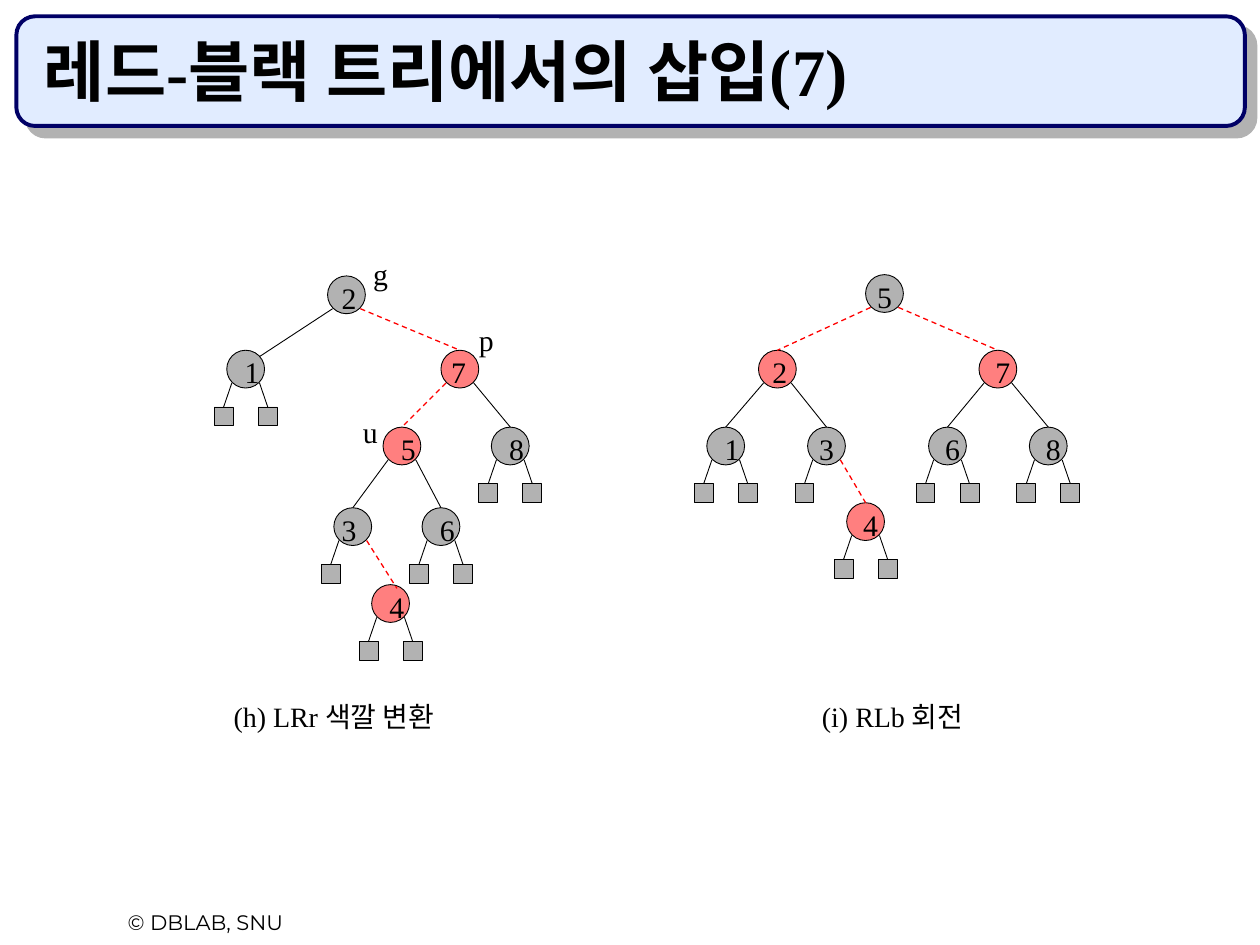
from lxml.etree import SubElement
from pptx import Presentation
from pptx.dml.color import RGBColor
from pptx.enum.dml import MSO_LINE_DASH_STYLE as Dash
from pptx.enum.shapes import MSO_CONNECTOR_TYPE as Connector, MSO_SHAPE as Shape
from pptx.enum.text import MSO_ANCHOR as Anchor, PP_ALIGN as Align
from pptx.oxml.ns import qn
from pptx.util import Inches, Pt

COLORS = {"black": "000000", "gray": "B2B2B2", "red": "FF0000",
          "banner": "E1ECFF", "navy": "000066"}
NODE, LEAF = 0.3, 0.15
LEAF_DROP = 0.45
EXIT = {"left": 0.04, "right": 0.26}       # where an edge leaves a node
LEAF_OFFSET = {"left": -0.1, "right": 0.25}
EXIT_DROP = 0.26

# Node: key, left, top, label offset, color, sides with leaves
# Edge: parent, child, side, color, end point within the child (None: top middle)
TREES = [
    {"nodes": [
        ("2", 2.6, 2.19, 0.11, "gray", ()),
        ("1", 1.8, 2.78, 0.14, "gray", ("left", "right")),
        ("7", 3.5, 2.78, 0.08, "red", ()),
        ("5", 3.04, 3.39, 0.14, "red", ()),
        ("8", 3.9, 3.39, 0.14, "gray", ("left", "right")),
        ("3", 2.65, 4.03, 0.06, "gray", ("left",)),
        ("6", 3.35, 4.03, 0.14, "gray", ("left", "right")),
        ("4", 2.95, 4.64, 0.14, "red", ("left", "right"))],
     "edges": [
        ("2", "1", "left", "black", (0.26, 0.05)),
        ("2", "7", "right", "red", None),
        ("7", "5", "left", "red", None),
        ("7", "8", "right", "black", None),
        ("5", "3", "left", "black", None),
        ("5", "6", "right", "black", None),
        ("3", "4", "right", "red", (0.2, 0.03))]},
    {"nodes": [
        ("5", 6.87, 2.18, 0.09, "gray", ()),
        ("2", 6.02, 2.78, 0.11, "red", ()),
        ("7", 7.77, 2.78, 0.13, "red", ()),
        ("1", 5.61, 3.39, 0.14, "gray", ("left", "right")),
        ("3", 6.41, 3.39, 0.09, "gray", ("left",)),
        ("6", 7.37, 3.39, 0.13, "gray", ("left", "right")),
        ("8", 8.17, 3.39, 0.13, "gray", ("left", "right")),
        ("4", 6.72, 3.99, 0.13, "red", ("left", "right"))],
     "edges": [
        ("5", "2", "left", "red", None),
        ("5", "7", "right", "red", None),
        ("2", "1", "left", "black", None),
        ("2", "3", "right", "black", None),
        ("7", "6", "left", "black", None),
        ("7", "8", "right", "black", None),
        ("3", "4", "right", "red", None)]},
]

presentation = Presentation()
presentation.slide_width, presentation.slide_height = Inches(10), Inches(7.5)
slide = presentation.slides.add_slide(presentation.slide_layouts[6])


def color(name):
    return RGBColor.from_string(COLORS[name])


def add_text(text, left, top, width, height, size=17, font="Times New Roman",
             bold=False, align=Align.CENTER, anchor=Anchor.TOP, wrap=False,
             margins=(0, 0)):
    box = slide.shapes.add_textbox(Inches(left), Inches(top), Inches(width), Inches(height))
    frame = box.text_frame
    frame.word_wrap, frame.vertical_anchor = wrap, anchor
    frame.margin_left = frame.margin_right = Inches(margins[0])
    frame.margin_top = frame.margin_bottom = Inches(margins[1])
    paragraph = frame.paragraphs[0]
    paragraph.alignment = align
    run = paragraph.add_run()
    run.text = text
    run.font.size, run.font.name, run.font.bold = Pt(size), font, bold
    run.font.color.rgb = color("black")


def add_shape(kind, left, top, width, height, fill, line="black", weight=0.5):
    shape = slide.shapes.add_shape(kind, Inches(left), Inches(top), Inches(width), Inches(height))
    shape.shadow.inherit = False
    shape.fill.solid()
    shape.fill.fore_color.rgb = color(fill)
    shape.line.color.rgb = color(line)
    shape.line.width = Pt(weight)
    return shape


# Title banner with its shadow, and footer
banner = add_shape(Shape.ROUNDED_RECTANGLE, 0.13, 0.13, 9.75, 0.87, "banner", "navy", 2.25)
banner.adjustments[0] = 0.17
effects = banner.element.spPr.find(qn("a:effectLst"))
shadow = SubElement(effects, qn("a:outerShdw"), dist=str(Pt(8.5)), dir="2700000",
                    algn="ctr", rotWithShape="0")
SubElement(shadow, qn("a:srgbClr"), val=COLORS["gray"])
add_text("© DBLAB, SNU", 0.42, 7.17, 2.42, 0.3, size=12, font="Montserrat",
         wrap=True, margins=(0.1, 0.05))
add_text("레드-블랙 트리에서의 삽입(7)", 0.25, 0.25, 9.42, 0.67, size=38, bold=True,
         align=Align.LEFT, anchor=Anchor.BOTTOM, wrap=True, margins=(0.1, 0.05))

# Trees: nodes and leaves first, then the edges that join them
for tree in TREES:
    circles, corners, edges = {}, {}, []
    for key, left, top, label_offset, fill, leaf_sides in tree["nodes"]:
        circle = add_shape(Shape.OVAL, left, top, NODE, NODE, fill)
        if fill == "red":
            fill_color = circle.element.spPr.find(qn("a:solidFill"))[0]
            SubElement(fill_color, qn("a:alpha"), val="50000")
        add_text(key, left + label_offset, top + 0.03, 0.12, 0.28)
        circles[key], corners[key] = circle, (left, top)
        for side in leaf_sides:
            leaf = add_shape(Shape.RECTANGLE, left + LEAF_OFFSET[side], top + LEAF_DROP,
                             LEAF, LEAF, "gray")
            edges.append((key, leaf, side, "black", None))

    for parent, child, side, line_color, end in tree["edges"]:
        if end:
            end = (corners[child][0] + end[0], corners[child][1] + end[1])
        edges.append((parent, circles[child], side, line_color, end))

    for parent, target, side, line_color, end in edges:
        left, top = corners[parent]
        start = Inches(left + EXIT[side]), Inches(top + EXIT_DROP)
        finish = (Inches(end[0]), Inches(end[1])) if end else start
        edge = slide.shapes.add_connector(Connector.STRAIGHT, *start, *finish)
        if not end:
            edge.end_connect(target, 0)
        SubElement(edge.element.spPr, qn("a:effectLst"))
        edge.line.color.rgb = color(line_color)
        edge.line.width = Pt(0.5)
        if line_color == "red":
            edge.line.width = Pt(0.75)
            edge.line.dash_style = Dash.DASH

for name, left, top in [("g", 2.96, 2.03), ("p", 3.8, 2.55), ("u", 2.88, 3.28)]:
    add_text(name, left, top, 0.12, 0.28)

for caption, left, width in [("(h) LRr 색깔 변환", 1.72, 1.86), ("(i) RLb 회전", 6.4, 1.37)]:
    add_text(caption, left, 5.5, width, 0.37, size=16, margins=(0.1, 0.05))

presentation.save("out.pptx")
